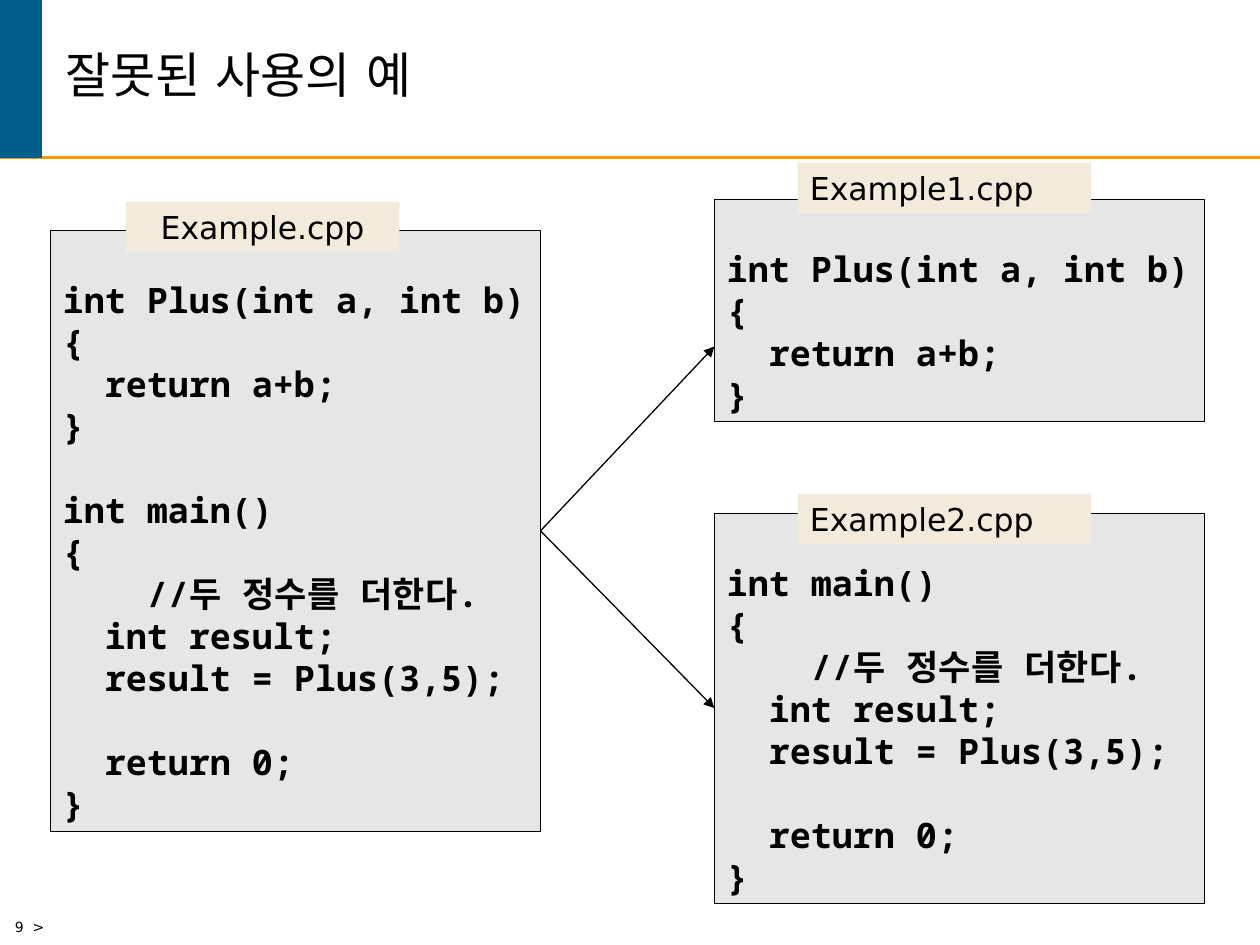
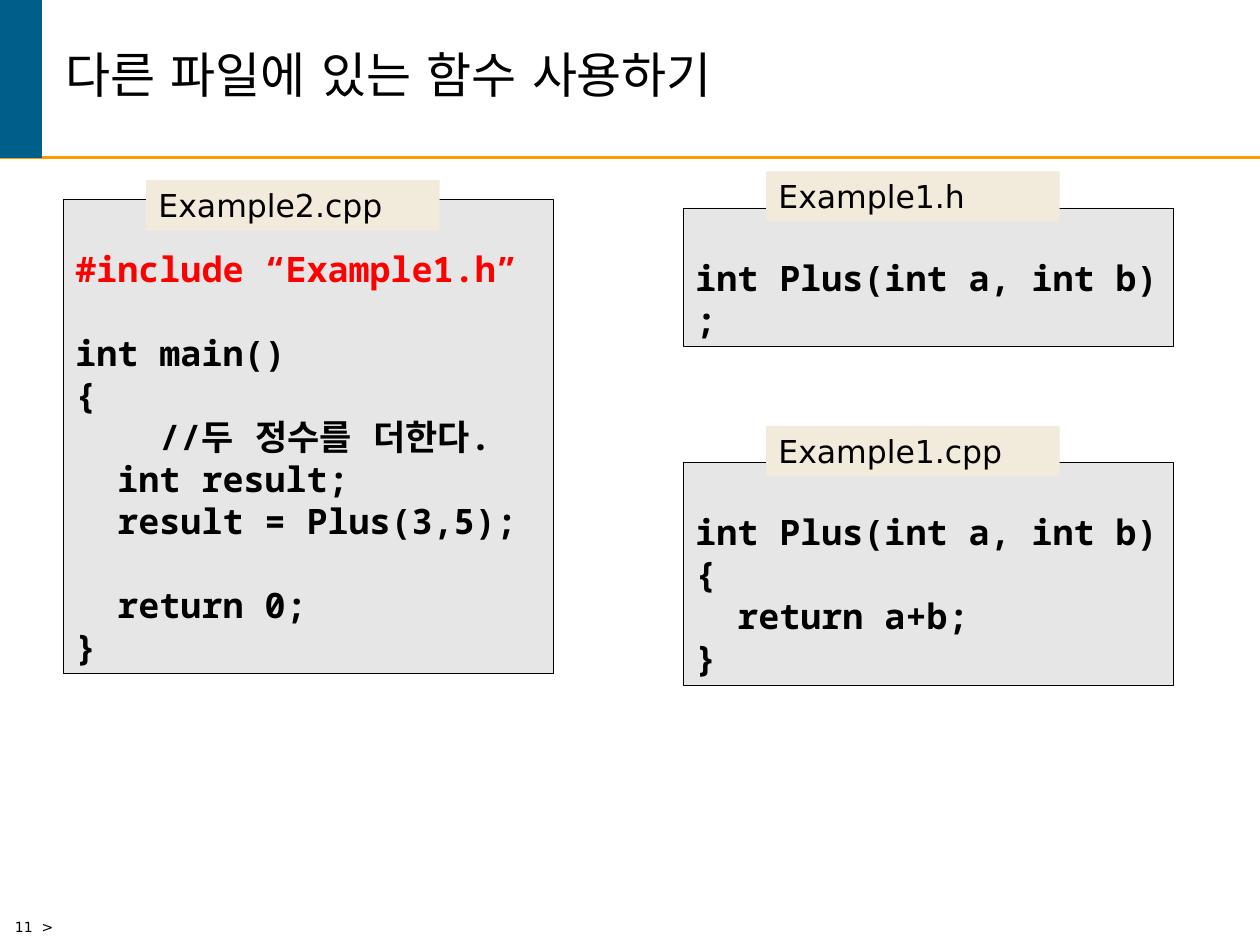
from math import ceil

from lxml import etree
from pptx import Presentation
from pptx.dml.color import RGBColor
from pptx.enum.shapes import MSO_CONNECTOR, MSO_SHAPE
from pptx.enum.text import MSO_ANCHOR, MSO_AUTO_SIZE, PP_ALIGN
from pptx.oxml.ns import qn
from pptx.util import Inches, Pt

RECTANGLE = MSO_SHAPE.RECTANGLE
STRAIGHT = MSO_CONNECTOR.STRAIGHT
LEFT, CENTER = PP_ALIGN.LEFT, PP_ALIGN.CENTER
TOP, MIDDLE, BOTTOM = MSO_ANCHOR.TOP, MSO_ANCHOR.MIDDLE, MSO_ANCHOR.BOTTOM
LEFT_SIDE, RIGHT_SIDE = 1, 3

COLORS = {"band": "005E8A", "rule": "FF9900", "code": "E6E6E6",
          "tab": "F2EADB", "text": "000000", "include": "FF0000"}
SANS, MONO = "DejaVu Sans", "Noto Sans Mono"

# Code listings; an empty string is an empty code line
PLUS = ["int Plus(int a, int b)", "{", "  return a+b;", "}"]
MAIN = ["int main()", "{", "    //두 정수를 더한다.", "  int result;",
        "  result = Plus(3,5);", "", "  return 0;", "}"]
PROTOTYPE = ["int Plus(int a, int b) ;"]
INCLUDE = ["#include “Example1.h”", ""]

# Panels: file name, left, top, top of the name tab, code
SLIDES = [
    {"title": "잘못된 사용의 예", "page": "9  >",
     "panels": [("Example.cpp", 0.4, 1.83, 1.6, PLUS + [""] + MAIN),
                ("Example1.cpp", 5.67, 1.58, 1.29, PLUS),
                ("Example2.cpp", 5.67, 4.07, 3.92, MAIN)],
     # Arrows: source panel, target panel, height of the head, joined at the head
     "arrows": [("Example.cpp", "Example1.cpp", 2.75, False),
                ("Example.cpp", "Example2.cpp", 5.62, True)]},
    {"title": "다른 파일에 있는 함수 사용하기", "page": "11  >",
     "panels": [("Example2.cpp", 0.5, 1.58, 1.43, INCLUDE + MAIN),
                ("Example1.h", 5.42, 1.65, 1.36, PROTOTYPE),
                ("Example1.cpp", 5.42, 3.67, 3.38, PLUS)],
     "arrows": []},
]

# Sizes in inches
PANEL_WIDTH, LINE_HEIGHT, PADDING = 3.89, 1 / 3, 0.1
CHARACTERS_PER_LINE = 22
TAB_HEIGHT = 0.4
TABS = {"Example.cpp": (0.6, 2.17, CENTER)}  # offset, width, alignment
DEFAULT_TAB = (0.66, 2.33, LEFT)


def color(name):
    return RGBColor.from_string(COLORS[name])


def add_span(para, text, size, font=SANS, tone="text", bold=False):
    span = para.add_run()
    span.text = text
    span.font.size = Pt(size)
    span.font.bold = bold
    span.font.color.rgb = color(tone)
    span.font.name = font
    east_asian = etree.SubElement(span.font._element, qn("a:ea"))
    east_asian.set("typeface", font)


def set_frame(frame, anchor):
    frame.word_wrap = True
    frame.auto_size = MSO_AUTO_SIZE.NONE
    frame.vertical_anchor = anchor


def add_box(slide, left, top, width, height, fill, line=None, line_width=0.25):
    box = slide.shapes.add_shape(RECTANGLE, Inches(left), Inches(top),
                                 Inches(width), Inches(height))
    box.shadow.inherit = False
    box.fill.solid()
    box.fill.fore_color.rgb = color(fill)
    if line:
        box.line.color.rgb = color(line)
        box.line.width = Pt(line_width)
    else:
        box.line.fill.background()
    return box


def add_line(slide, start, end, tone, width):
    line = slide.shapes.add_connector(STRAIGHT, *map(Inches, start + end))
    line.line.color.rgb = color(tone)
    line.line.width = Pt(width)
    etree.SubElement(line._element.spPr, qn("a:effectLst"))
    return line


def add_page_frame(slide, title, page):
    """Rule, side band, title and page mark shared by all slides."""
    add_line(slide, (0, 1.25), (10, 1.25), "rule", 1.5)
    add_box(slide, 0, 0, 0.33, 1.25, "band", "band", 1)

    heading = slide.shapes.title
    heading.left, heading.top = Inches(0.42), Inches(0)
    heading.width, heading.height = Inches(9.33), Inches(1.25)
    set_frame(heading.text_frame, MIDDLE)
    para = heading.text_frame.paragraphs[0]
    para.alignment = LEFT
    para.line_spacing = 0.85
    add_span(para, title, 28)

    mark = slide.shapes.add_textbox(Inches(0.02), Inches(7.24),
                                    Inches(1.4), Inches(0.26))
    set_frame(mark.text_frame, TOP)
    add_span(mark.text_frame.paragraphs[0], page, 8)


def add_panel(slide, name, left, top, tab_top, code):
    # One free line stays above the code, behind the name tab
    rows = 1 + sum(max(1, ceil(len(text) / CHARACTERS_PER_LINE)) for text in code)
    height = rows * LINE_HEIGHT + PADDING
    box = add_box(slide, left, top, PANEL_WIDTH, height, "code", "text")
    frame = box.text_frame
    set_frame(frame, BOTTOM)
    for index, text in enumerate(code):
        if not text:
            continue
        para = frame.add_paragraph() if index else frame.paragraphs[0]
        para.alignment = LEFT
        if index and not code[index - 1]:
            para.space_before = Inches(LINE_HEIGHT)
        tone = "include" if text.startswith("#include") else "text"
        add_span(para, text, 20, MONO, tone, bold=True)

    # File name tab
    offset, width, alignment = TABS.get(name, DEFAULT_TAB)
    tab = add_box(slide, left + offset, tab_top, width, TAB_HEIGHT, "tab")
    set_frame(tab.text_frame, TOP)
    para = tab.text_frame.paragraphs[0]
    para.alignment = alignment
    add_span(para, name, 18)
    return box


def add_arrow(slide, source, target, head_top, joined):
    start = (source.left + source.width, source.top + source.height // 2)
    arrow = add_line(slide, tuple(length / Inches(1) for length in start),
                     (target.left / Inches(1), head_top), "text", 0.75)
    arrow.begin_connect(source, RIGHT_SIDE)
    if joined:
        arrow.end_connect(target, LEFT_SIDE)
    head = etree.SubElement(arrow.line._get_or_add_ln(), qn("a:tailEnd"))
    head.set("type", "triangle")


def main():
    deck = Presentation()
    deck.slide_width, deck.slide_height = Inches(10), Inches(7.5)
    title_only = deck.slide_layouts[5]
    for content in SLIDES:
        slide = deck.slides.add_slide(title_only)
        add_page_frame(slide, content["title"], content["page"])
        boxes = {panel[0]: add_panel(slide, *panel) for panel in content["panels"]}
        for source, target, head_top, joined in content["arrows"]:
            add_arrow(slide, boxes[source], boxes[target], head_top, joined)
    deck.save("out.pptx")


if __name__ == "__main__":
    main()
